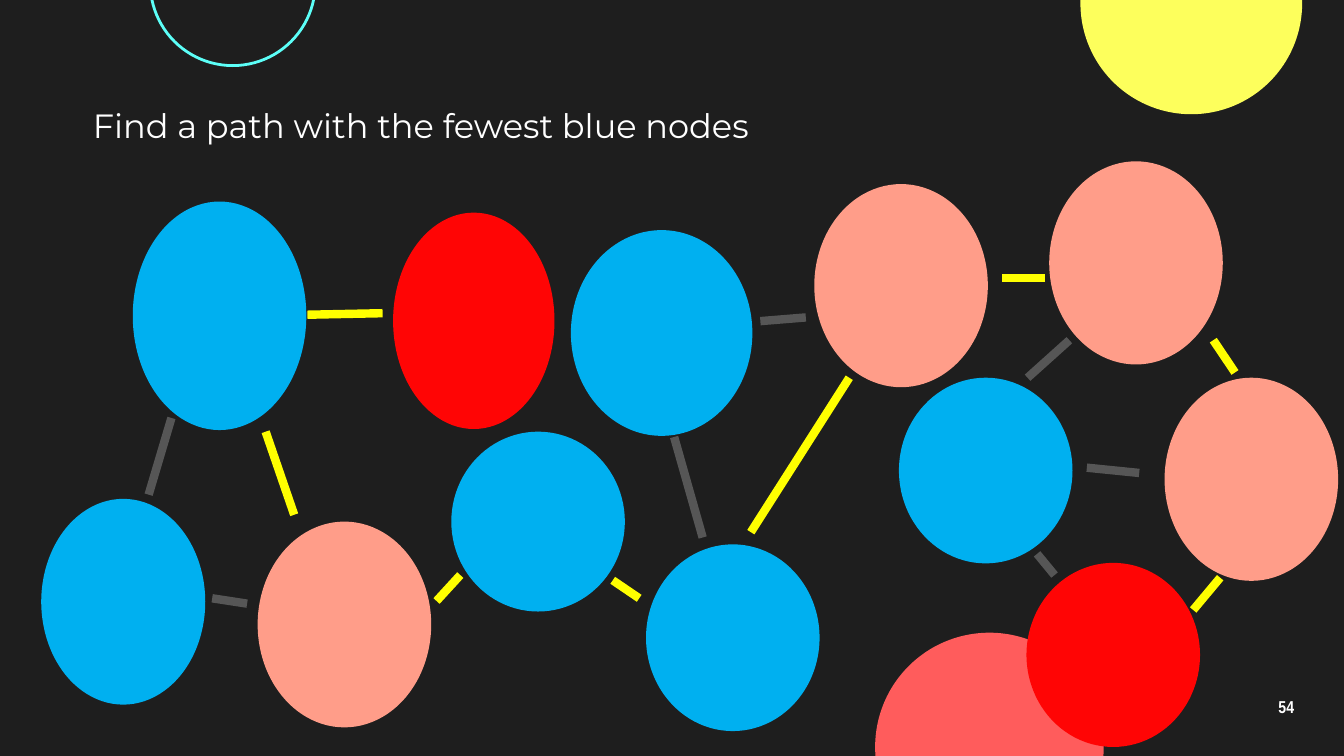
from dataclasses import dataclass

from lxml import etree
from pptx import Presentation
from pptx import util as u
from pptx.dml.color import RGBColor
from pptx.enum import shapes, text
from pptx.oxml import ns


@dataclass(frozen=True)
class Theme:
    background: str = "1E1E1E"
    white: str = "FFFFFF"
    blue: str = "00B0F0"
    red: str = "FF0505"
    salmon: str = "FF9D89"
    edge: str = "565656"
    path_edge: str = "FFFF00"
    lemon: str = "FDFF5C"
    aqua: str = "5CFFF8"
    coral: str = "FF5C5C"
    title_font: str = "Montserrat"
    number_font: str = "Arial Narrow"
    title_size: float = 18
    number_size: float = 9.2
    edge_width: float = 4.5
    ring_width: float = 1.5


THEME = Theme()

# Boxes are left, top, width, height in centimetres
PAGE = (0, 0, 25.4, 14.29)
TITLE = (1.5, 1.85, 17.96, 1.02)
GRAPH = (0.78, 3.05, 24.51, 11.07)
NUMBER = (23.55, 12.95, 1.52, 0.86)

# Nodes: left, top, width, height within the graph box
NODES = {
    THEME.blue: [
        (0, 6.38, 3.1, 3.89), (10.01, 1.3, 3.43, 3.89),
        (11.43, 7.24, 3.28, 3.53), (16.21, 4.09, 3.28, 3.51),
        (7.75, 5.11, 3.28, 3.4), (1.73, 0.76, 3.28, 4.32),
    ],
    THEME.salmon: [
        (14.61, 0.43, 3.28, 3.84), (19.05, 0, 3.28, 3.84),
        (21.23, 4.09, 3.28, 3.84), (4.09, 6.81, 3.28, 3.89),
    ],
    THEME.red: [(6.65, 0.97, 3.05, 4.09), (18.62, 7.59, 3.28, 3.48)],
}

# Edges: start x, start y, end x, end y within the graph box
EDGES = {
    THEME.path_edge: [
        (10.8, 7.92, 11.3, 8.26), (4.78, 6.68, 4.24, 5.11),
        (6.45, 2.87, 5.03, 2.9), (7.47, 8.31, 7.92, 7.82),
        (18.97, 2.21, 18.16, 2.21), (15.27, 4.09, 13.41, 7.01),
        (22.15, 3.38, 22.56, 3.99), (21.77, 8.48, 22.28, 7.87),
    ],
    THEME.edge: [
        (2.03, 6.3, 2.46, 4.85), (3.89, 8.36, 3.23, 8.26),
        (11.96, 5.21, 12.5, 7.11), (14.45, 2.95, 13.59, 3.02),
        (19.43, 3.38, 18.64, 4.09), (19.15, 7.82, 18.82, 7.42),
        (20.75, 5.89, 19.76, 5.79),
    ],
}


def color(value):
    return RGBColor.from_string(value)


def style_font(font, name, size, bold=False):
    font.name = name
    font.size = u.Pt(size)
    font.bold = bold
    font.color.rgb = color(THEME.white)


def add_ellipse(page, box, left, top, width, height, fill=None, line=None):
    ellipse = page.shapes.add_shape(
        shapes.MSO_SHAPE.OVAL, u.Cm(box[0] + left), u.Cm(box[1] + top),
        u.Cm(width), u.Cm(height))
    ellipse.shadow.inherit = False
    if fill:
        ellipse.fill.solid()
        ellipse.fill.fore_color.rgb = color(fill)
    else:
        ellipse.fill.background()
    if line:
        ellipse.line.color.rgb = color(line)
        ellipse.line.width = u.Pt(THEME.ring_width)
    else:
        ellipse.line.fill.background()


def add_edge(page, box, start_x, start_y, end_x, end_y, line):
    edge = page.shapes.add_connector(
        shapes.MSO_CONNECTOR.STRAIGHT,
        u.Cm(box[0] + start_x), u.Cm(box[1] + start_y),
        u.Cm(box[0] + end_x), u.Cm(box[1] + end_y))
    edge.line.color.rgb = color(line)
    edge.line.width = u.Pt(THEME.edge_width)
    properties = edge.element.find(ns.qn("p:spPr"))
    etree.SubElement(properties, ns.qn("a:effectLst"))


def place_decoration(page, box):
    add_ellipse(page, box, 20.42, -2.03, 4.19, 4.19, fill=THEME.lemon)
    add_ellipse(page, box, 2.84, -1.88, 3.12, 3.12, line=THEME.aqua)
    add_ellipse(page, box, 16.54, 11.96, 4.32, 4.32, fill=THEME.coral)


def place_title(page, box, wording):
    title = page.shapes.title
    title.left, title.top, title.width, title.height = map(u.Cm, box)
    frame = title.text_frame
    frame.text = wording
    frame.word_wrap = True
    frame.vertical_anchor = text.MSO_ANCHOR.TOP
    frame.auto_size = text.MSO_AUTO_SIZE.SHAPE_TO_FIT_TEXT
    para = frame.paragraphs[0]
    para.alignment = text.PP_ALIGN.LEFT
    para.space_before = u.Pt(0)
    style_font(para.font, THEME.title_font, THEME.title_size)


def place_graph(page, box):
    for fill, nodes in NODES.items():
        for node in nodes:
            add_ellipse(page, box, *node, fill=fill)
    for line, edges in EDGES.items():
        for edge in edges:
            add_edge(page, box, *edge, line)


def place_number(page, box, number):
    frame = page.shapes.add_textbox(*map(u.Cm, box)).text_frame
    frame.text = number
    frame.word_wrap = True
    frame.vertical_anchor = text.MSO_ANCHOR.MIDDLE
    frame.margin_top = frame.margin_bottom = u.Cm(0.25)
    para = frame.paragraphs[0]
    para.alignment = text.PP_ALIGN.CENTER
    para.line_spacing = 0.9
    style_font(para.font, THEME.number_font, THEME.number_size, bold=True)


def main():
    deck = Presentation()
    deck.slide_width, deck.slide_height = map(u.Cm, PAGE[2:])
    page = deck.slides.add_slide(deck.slide_layouts.get_by_name("Title Only"))
    page.background.fill.solid()
    page.background.fill.fore_color.rgb = color(THEME.background)

    place_decoration(page, PAGE)
    place_title(page, TITLE, "Find a path with the fewest blue nodes")
    place_graph(page, GRAPH)
    place_number(page, NUMBER, "54")
    deck.save("out.pptx")


if __name__ == "__main__":
    main()
